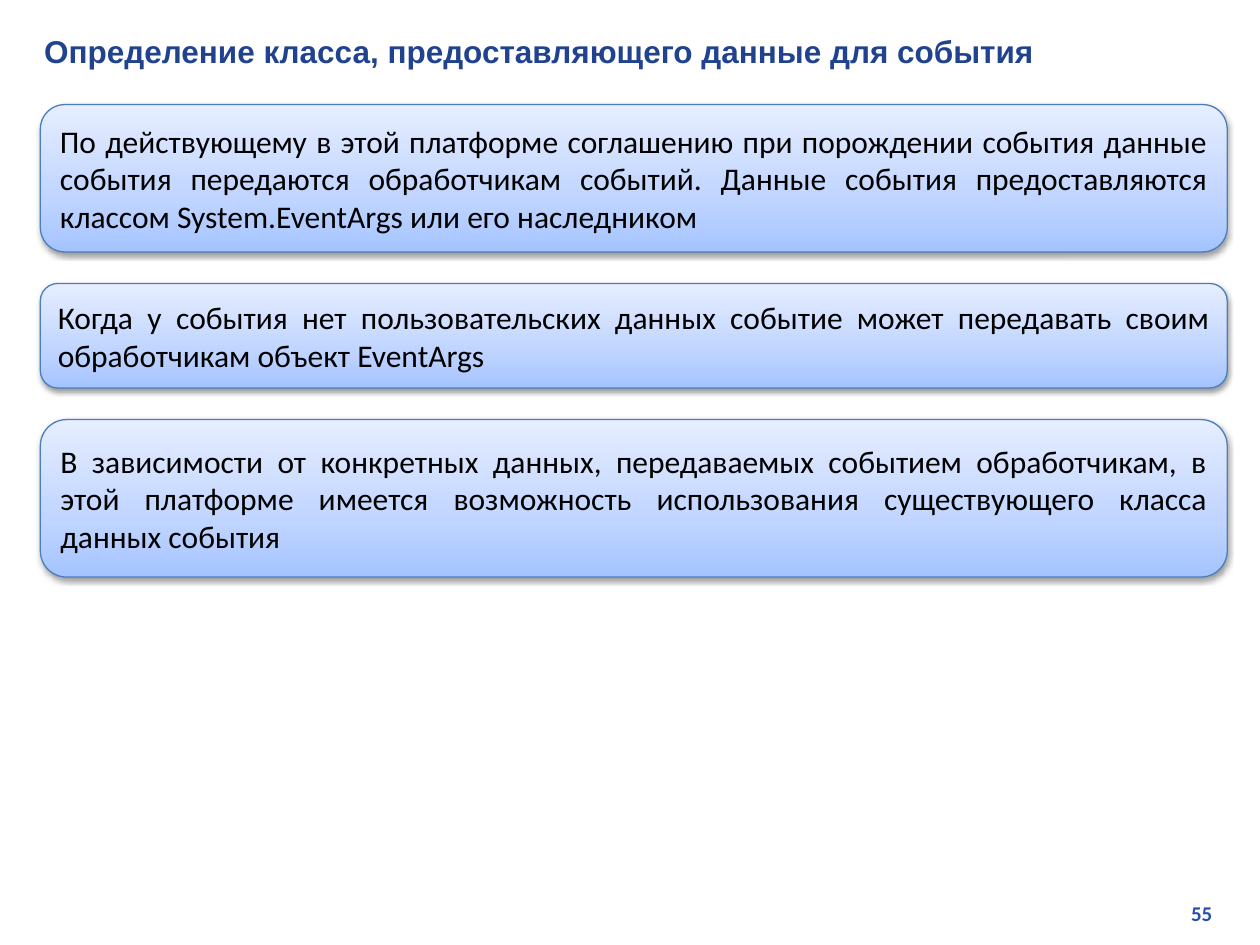
from lxml import etree
from pptx import Presentation
from pptx.dml.color import RGBColor
from pptx.enum.shapes import MSO_SHAPE
from pptx.enum.text import MSO_ANCHOR, MSO_AUTO_SIZE, PP_ALIGN
from pptx.oxml.ns import qn
from pptx.util import Inches, Pt

ROUNDED = MSO_SHAPE.ROUNDED_RECTANGLE
MIDDLE = MSO_ANCHOR.MIDDLE
NO_FIT = MSO_AUTO_SIZE.NONE
LEFT, RIGHT, JUSTIFY = PP_ALIGN.LEFT, PP_ALIGN.RIGHT, PP_ALIGN.JUSTIFY

COLORS = {
    "title": "21438F", "number": "2750AB", "text": "000000",
    "line": "4B7EBC", "shadow": "000000",
    "bottom": "A4C4FF", "middle": "BFD4FF", "top": "E6EEFF",
}
STOPS = [(0, "bottom"), (35, "middle"), (100, "top")]
FORMATS = {
    "title": {"name": "Arial", "size": Pt(18), "bold": True},
    "text": {"name": "Calibri", "size": Pt(18), "bold": False},
    "number": {"name": "Calibri", "size": Pt(12), "bold": True},
}
WIDTH, HEIGHT = Inches(10), Inches(7.5)
CARD_LEFT, CARD_TOP, CARD_WIDTH, CARD_GAP = (
    Inches(0.32), Inches(0.83), Inches(9.42), Inches(0.25))
CARDS = [
    (1.17, "По действующему в этой платформе соглашению при порождении события "
           "данные события передаются обработчикам событий. Данные события "
           "предоставляются классом System.EventArgs или его наследником"),
    (0.83, "Когда у события нет пользовательских данных событие может "
           "передавать своим обработчикам объект EventArgs"),
    (1.25, "В зависимости от конкретных данных, передаваемых событием "
           "обработчикам, в этой платформе имеется возможность использования "
           "существующего класса данных события"),
]


def write(tf, text, style, align, after=0):
    """Put one formatted paragraph into a text frame."""
    tf.word_wrap = True
    p = tf.paragraphs[0]
    p.alignment = align
    p.space_before, p.space_after = Pt(0), Pt(after)
    r = p.add_run()
    r.text = text
    for name, value in FORMATS[style].items():
        setattr(r.font, name, value)
    r.font.color.rgb = RGBColor.from_string(COLORS[style])


def add_color(parent, key):
    """Append an RGB colour element and return it."""
    return etree.SubElement(parent, qn("a:srgbClr"), val=COLORS[key])


def style_card(sp):
    """Give a card its gradient, outline and soft shadow."""
    sp.fill.gradient()
    sp.fill.gradient_angle = 90
    stops = sp.element.spPr.find(".//" + qn("a:gsLst"))
    for stop in list(stops):
        stops.remove(stop)
    for position, key in STOPS:
        add_color(etree.SubElement(stops, qn("a:gs"), pos=str(position * 1000)), key)
    sp.line.color.rgb = RGBColor.from_string(COLORS["line"])
    sp.line.width = Pt(0.75)
    sp.shadow.inherit = False
    effects = sp.element.spPr.find(qn("a:effectLst"))
    shadow = etree.SubElement(effects, qn("a:outerShdw"), blurRad=str(Pt(3.1)),
                              dist=str(Pt(1.6)), dir="5400000", rotWithShape="0")
    etree.SubElement(add_color(shadow, "shadow"), qn("a:alpha"), val="38000")


def add_title(s, box, text):
    """Place the slide title in its placeholder."""
    sp = s.shapes.title
    sp.left, sp.top, sp.width, sp.height = box
    tf = sp.text_frame
    tf.auto_size, tf.vertical_anchor = NO_FIT, MIDDLE
    write(tf, text, "title", LEFT, 10)


def add_cards(s, left, top, width):
    """Stack the cards downwards with an equal gap."""
    for inches, text in CARDS:
        height = Inches(inches)
        sp = s.shapes.add_shape(ROUNDED, left, top, width, height)
        style_card(sp)
        sp.text_frame.vertical_anchor = MIDDLE
        write(sp.text_frame, text, "text", JUSTIFY, 10)
        top += height + CARD_GAP


def add_number(s, box, text):
    """Place the page number at the lower right."""
    write(s.shapes.add_textbox(*box).text_frame, text, "number", RIGHT)


def main():
    """Build and save the slide."""
    prs = Presentation()
    prs.slide_width, prs.slide_height = WIDTH, HEIGHT
    s = prs.slides.add_slide(prs.slide_layouts.get_by_name("Title Only"))
    add_number(s, (Inches(7.6), Inches(7.1), Inches(2.12), Inches(0.3)), "55")
    add_title(s, (Inches(0.25), Inches(0.2), Inches(9.54), Inches(0.4)),
              "Определение класса, предоставляющего данные для события")
    add_cards(s, CARD_LEFT, CARD_TOP, CARD_WIDTH)
    prs.save("out.pptx")


if __name__ == "__main__":
    main()
